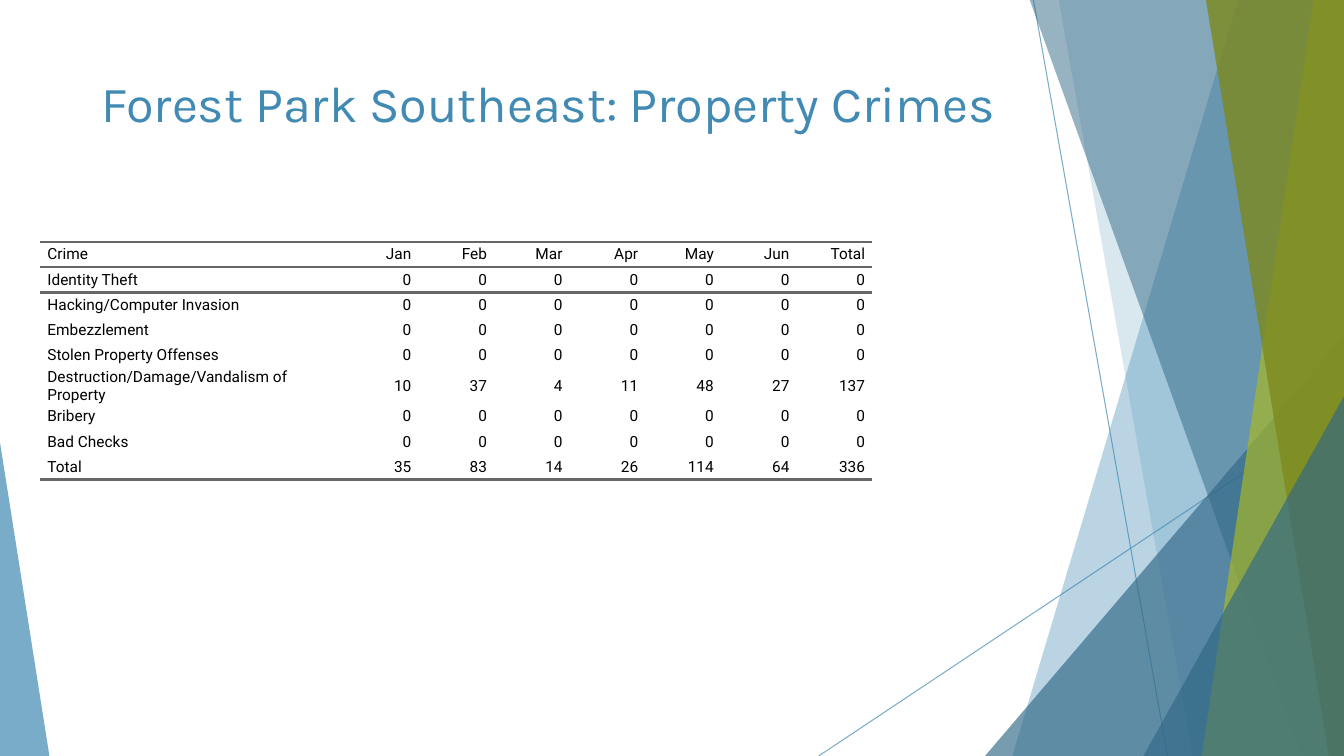
from lxml.etree import SubElement as Sub
from pptx import Presentation
from pptx.dml.color import RGBColor
from pptx.enum.shapes import MSO_CONNECTOR as Conn, MSO_SHAPE as Shape
from pptx.enum.text import MSO_ANCHOR as Anchor, PP_ALIGN as Align
from pptx.oxml.ns import qn
from pptx.util import Inches, Pt

BLUE = RGBColor(0x41, 0x8A, 0xB3)
NAVY = RGBColor(0x31, 0x68, 0x86)
LIME = RGBColor(0xA6, 0xB7, 0x27)
OLIVE = RGBColor(0x7D, 0x89, 0x1D)
GREY = RGBColor(0x66, 0x66, 0x66)
BLACK = RGBColor(0, 0, 0)
WIDE, HIGH = 13.33, 7.5
NO_STYLE = "{2D5ABB26-0587-4C30-8999-92F81FD0307C}"

HEAD = ["Crime", "Jan", "Feb", "Mar", "Apr", "May", "Jun", "Total"]
CRIMES = {
    "Identity Theft": [0] * 7,
    "Hacking/Computer Invasion": [0] * 7,
    "Embezzlement": [0] * 7,
    "Stolen Property Offenses": [0] * 7,
    "Destruction/Damage/Vandalism of Property": [10, 37, 4, 11, 48, 27, 137],
    "Bribery": [0] * 7,
    "Bad Checks": [0] * 7,
    "Total": [35, 83, 14, 26, 114, 64, 336],
}


def fade(shape, alpha):
    """Make the colour of a shape partly transparent."""
    tint = next(shape._element.spPr.iter(qn("a:srgbClr")))
    Sub(tint, qn("a:alpha")).set("val", str(alpha * 1000))


def paint(shape, color, alpha):
    """Give a shape a see-through fill and no line."""
    shape.shadow.inherit = False
    shape.fill.solid()
    shape.fill.fore_color.rgb = color
    shape.line.fill.background()
    fade(shape, alpha)


def add_line(slide, x1, y1, x2, y2):
    """Draw a thin blue line."""
    line = slide.shapes.add_connector(
        Conn.STRAIGHT, Inches(x1), Inches(y1), Inches(x2), Inches(y2))
    line.line.color.rgb = BLUE
    line.line.width = Pt(0.75)
    fade(line, 70)
    Sub(line._element.spPr, qn("a:effectLst"))


def add_blade(slide, top, foot, color, alpha):
    """Draw a band from a slanted left edge to the right side of the slide."""
    rim = -0.01
    form = slide.shapes.build_freeform(Inches(top), Inches(rim))
    ends = [(WIDE, rim), (WIDE, HIGH), (foot, HIGH)]
    form.add_line_segments([(Inches(x), Inches(y)) for x, y in ends])
    paint(form.convert_to_shape(), color, alpha)


def add_wedge(slide, left, top, width, peak, color, alpha):
    """Draw a triangle that stands on the bottom of the slide."""
    wedge = slide.shapes.add_shape(
        Shape.ISOSCELES_TRIANGLE, Inches(left), Inches(top),
        Inches(width), Inches(HIGH - top))
    wedge.adjustments[0] = peak
    paint(wedge, color, alpha)


def add_run(para, text, font, size, color):
    """Add a run of text to a paragraph."""
    run = para.add_run()
    run.text = text
    run.font.name = font
    run.font.size = Pt(size)
    run.font.color.rgb = color


def add_title(slide, text):
    """Add the slide title."""
    box = slide.shapes.add_textbox(
        Inches(0.74), Inches(0.67), Inches(9.4), Inches(1.44))
    frame = box.text_frame
    frame.word_wrap = True
    frame.vertical_anchor = Anchor.TOP
    para = frame.paragraphs[0]
    para.alignment = Align.CENTER
    add_run(para, text, "Karla", 36, BLUE)


def add_rule(cell, side):
    """Draw a grey border on one side of a cell."""
    rule = Sub(cell._tc.get_or_add_tcPr(), qn("a:" + side), w=str(Pt(2)))
    fill = Sub(rule, qn("a:solidFill"))
    Sub(fill, qn("a:srgbClr"), val=str(GREY))


def fill_cell(cell, text, align, sides):
    """Set the text, margins and borders of a cell."""
    cell.margin_left = cell.margin_right = 0
    cell.margin_top = cell.margin_bottom = 0
    cell.vertical_anchor = Anchor.MIDDLE
    for side in sides:
        add_rule(cell, side)
    cell.fill.background()
    para = cell.text_frame.paragraphs[0]
    para.alignment = align
    props = para._p.get_or_add_pPr()
    for edge in ("marL", "marR"):
        props.set(edge, str(Inches(0.07)))
    add_run(para, text, "Roboto", 11, BLACK)


def add_grid(slide, rows):
    """Add the table of crimes by month."""
    cols = [3] + [0.75] * 7
    grid = slide.shapes.add_table(
        len(rows), len(cols), Inches(0.4), Inches(2.4),
        Inches(sum(cols)), Inches(0.25 * len(rows))).table
    grid.first_row = grid.horz_banding = False
    grid._tbl.tblPr.find(qn("a:tableStyleId")).text = NO_STYLE
    for col, width in zip(grid.columns, cols):
        col.width = Inches(width)
    rules = {0: ["lnT", "lnB"], 1: ["lnT"], len(rows) - 1: ["lnB"]}
    for r, row in enumerate(rows):
        grid.rows[r].height = Inches(0.25)
        for c, item in enumerate(row):
            align = Align.RIGHT if c else Align.LEFT
            fill_cell(grid.cell(r, c), str(item), align, rules.get(r, []))


def main():
    """Build the slide and save it."""
    deck = Presentation()
    deck.slide_width, deck.slide_height = Inches(WIDE), Inches(HIGH)
    slide = deck.slides.add_slide(deck.slide_layouts[6])
    add_line(slide, 10.25, 0, 11.58, HIGH)
    add_line(slide, WIDE, 4.03, 8.12, HIGH)
    add_blade(slide, 12.28, 10.04, BLUE, 36)
    add_blade(slide, 10.5, 11.83, BLUE, 20)
    add_wedge(slide, 9.77, 3.33, 3.56, 1, NAVY, 66)
    add_blade(slide, 10.21, 12.91, NAVY, 50)
    add_blade(slide, 13.03, 11.92, LIME, 70)
    add_blade(slide, 11.96, 13.18, OLIVE, 80)
    add_wedge(slide, 11.34, 3.93, 1.99, 1, NAVY, 66)
    add_wedge(slide, 0, 4.39, 0.49, 0, BLUE, 70)
    add_grid(slide, [HEAD] + [[name, *nums] for name, nums in CRIMES.items()])
    add_title(slide, "Forest Park Southeast: Property Crimes")
    deck.save("out.pptx")


if __name__ == "__main__":
    main()
